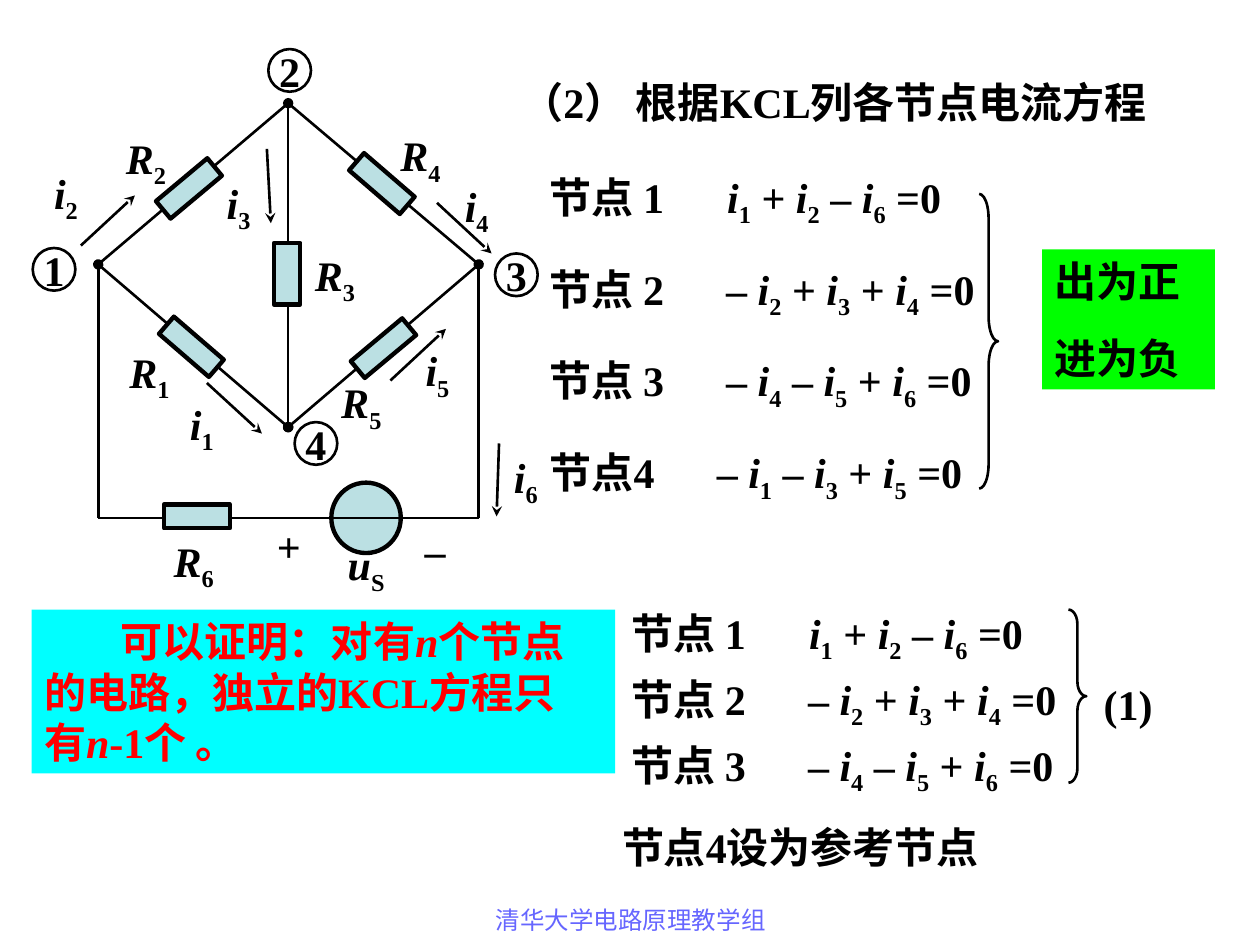
from itertools import groupby

from lxml import etree
from pptx import Presentation
from pptx.dml.color import RGBColor
from pptx.enum.shapes import MSO_CONNECTOR, MSO_SHAPE
from pptx.enum.text import MSO_ANCHOR, PP_ALIGN
from pptx.oxml.ns import qn
from pptx.util import Cm, Pt

STRAIGHT = MSO_CONNECTOR.STRAIGHT
RECTANGLE, OVAL, BRACE = MSO_SHAPE.RECTANGLE, MSO_SHAPE.OVAL, MSO_SHAPE.RIGHT_BRACE
LEFT, CENTER = PP_ALIGN.LEFT, PP_ALIGN.CENTER
TOP, MIDDLE = MSO_ANCHOR.TOP, MSO_ANCHOR.MIDDLE

COLORS = {"ink": "000000", "part": "BBE0E3", "rule": "00FF00",
          "proof": "00FFFF", "alert": "FF0000", "footer": "6666FF"}
VARIABLES = "iRun"  # letters set in italics; "_" lowers the next letter

# Text: lengths in cm
TITLE = "（2） 根据KCL列各节点电流方程"
EQUATIONS = [
    ("节点 1", "i_1 + i_2 – i_6 =0", 3.58),
    ("节点 2", "– i_2 + i_3 + i_4 =0", 3.56),
    ("节点 3", "– i_4 – i_5 + i_6 =0", 3.56),
    ("节点4", "– i_1 – i_3 + i_5 =0", 3.37),
]
# left, top, row step, number of equations
EQUATION_BLOCKS = [(10.83, 3.33, 1.85, 4), (12.48, 12.12, 1.33, 3)]
BRACES = [(19.74, 3.91, 0.38, 5.94), (21.54, 12.29, 0.36, 3.49)]
SIGN_RULE = ["出为正", "进为负"]
PROOF = ["可以证明：对有n个节点", "的电路，独立的KCL方程只", "有n-1个 。"]

# Circuit: lengths in cm
NODES = {"1": (1.98, 5.33), "2": (5.81, 2.08), "3": (9.65, 5.33), "4": (5.81, 8.61)}
BUS_Y = 10.44
BRANCHES = ["24", "23", "14", "34", "21"]
DOTTED = {"24", "14", "34"}
NODE_CIRCLES = {"1": (0.66, 5.0), "2": (5.41, 0.99), "3": (9.98, 5.11), "4": (5.94, 8.51)}
CIRCLE_SIZE = 0.86
# centre x, centre y, width, length, rotation
RESISTORS = [
    (5.79, 5.52, 0.53, 1.24, 0),
    (3.81, 3.8, 0.46, 1.35, 50.1),
    (7.7, 3.7, 0.46, 1.35, 310.8),
    (7.73, 7.02, 0.44, 1.35, 50.1),
    (3.86, 6.99, 0.46, 1.33, 310.8),
    (3.97, 10.41, 0.48, 1.33, 90),
]
LABELS = [
    ("R_1", 2.36, 6.86), ("R_2", 2.29, 2.54), ("R_3", 6.1, 4.9),
    ("R_4", 7.82, 2.49), ("R_5", 6.63, 7.47), ("R_6", 3.25, 10.67),
    ("i_1", 3.58, 7.9), ("i_2", 0.84, 3.25), ("i_3", 4.32, 3.45),
    ("i_4", 9.12, 3.51), ("i_5", 8.33, 6.83), ("i_6", 10.11, 8.97),
    ("u_S", 6.76, 10.74), ("+", 5.33, 10.36), ("–", 8.31, 10.44),
]
CURRENT_ARROWS = [
    ((1.63, 4.95), (2.72, 3.94)), ((7.87, 7.67), (8.99, 6.63)),
    ((4.17, 7.72), (5.28, 8.74)), ((8.81, 4.09), (9.91, 5.11)),
    ((5.38, 3.0), (5.46, 4.5)), ((10.06, 8.94), (10.01, 10.41)),
]

deck = Presentation()
deck.slide_width, deck.slide_height = Cm(25.4), Cm(19.05)
page = deck.slides.add_slide(deck.slide_layouts[6])


def color(name):
    return RGBColor.from_string(COLORS[name])


def styled_letters(text):
    """Pair each letter with its style: plain, italic or subscript."""
    lowered = False
    for letter in text:
        if letter == "_":
            lowered = True
            continue
        style = "subscript" if lowered else "italic" if letter in VARIABLES else "plain"
        yield style, letter
        lowered = False


def write(box, lines, ink="ink", size=24, bold=True, align=LEFT, anchor=TOP, gap=0, tab=None):
    frame = box.text_frame
    frame.word_wrap, frame.vertical_anchor = True, anchor
    for number, line in enumerate(lines):
        para = frame.paragraphs[0] if number == 0 else frame.add_paragraph()
        para.alignment = align
        para.space_before = Pt(gap if number else 0)
        if tab:
            tabs = etree.SubElement(para._p.get_or_add_pPr(), qn("a:tabLst"))
            etree.SubElement(tabs, qn("a:tab"), pos=str(Cm(tab)), algn="l")
        for style, letters in groupby(styled_letters(line), key=lambda pair: pair[0]):
            span = para.add_run()
            span.text = "".join(letter for _, letter in letters)
            formats = {"name": "Times New Roman", "size": Pt(size),
                       "bold": bold, "italic": style == "italic"}
            for name, value in formats.items():
                setattr(span.font, name, value)
            span.font.color.rgb = color(ink)
            if style == "subscript":
                span._r.get_or_add_rPr().set("baseline", "-25000")


def add_text(place, lines, **formats):
    box = page.shapes.add_textbox(*map(Cm, place))
    write(box, lines, **formats)


def add_shape(kind, place, fill=None, line=None):
    shape = page.shapes.add_shape(kind, *map(Cm, place))
    shape.shadow.inherit = False
    if fill:
        shape.fill.solid()
        shape.fill.fore_color.rgb = color(fill)
    else:
        shape.fill.background()
    if line:
        shape.line.color.rgb = color("ink")
        shape.line.width = Pt(line)
    else:
        shape.line.fill.background()
    return shape


def add_line(start, end, head=None, tail=None):
    wire = page.shapes.add_connector(STRAIGHT, *map(Cm, start + end))
    wire.line.color.rgb = color("ink")
    wire.line.width = Pt(1.5)
    outline = wire.line._get_or_add_ln()
    for tag, kind in (("a:headEnd", head), ("a:tailEnd", tail)):
        if kind:
            etree.SubElement(outline, qn(tag), type=kind)
    etree.SubElement(wire._element.spPr, qn("a:effectLst"))


# Title and equations with their braces
add_text((10.26, 1.42, 13.92, 2.29), [TITLE])
for left, top, step, count in EQUATION_BLOCKS:
    for row, (node, equation, tab) in enumerate(EQUATIONS[:count]):
        add_text((left, top + row * step, 9.5, 1.42), [f"{node}\t{equation}"], tab=tab)
for left, top, width, height in BRACES:
    brace = add_shape(BRACE, (left, top, width, height), line=1.5)
    brace.adjustments[0] = height / width / 12
add_text((22, 13.56, 1.7, 1.27), ["(1)"])
add_text((12.29, 16.43, 8.92, 1.27), ["节点4设为参考节点"])

# Coloured notes
write(add_shape(RECTANGLE, (21.01, 5.03, 3.48, 2.82), "rule"), SIGN_RULE, gap=15)
proof_box = add_shape(RECTANGLE, (0.64, 12.29, 11.76, 3.3), "proof")
write(proof_box, PROOF, ink="alert")
proof_box.text_frame.paragraphs[0]._p.get_or_add_pPr().set("indent", str(Cm(1.55)))

# Voltage source and wires
add_shape(OVAL, (6.68, 9.73, 1.4, 1.42), "part", 2.5)
for branch in BRANCHES:
    dot = "oval" if branch in DOTTED else None
    add_line(NODES[branch[0]], NODES[branch[1]], dot, dot)
corners = [(NODES[node][0], BUS_Y) for node in "13"]
for node, corner in zip("13", corners):
    add_line(NODES[node], corner)
add_line(*corners)

# Resistors, currents and labels
for x, y, width, length, rotation in RESISTORS:
    place = (x - width / 2, y - length / 2, width, length)
    add_shape(RECTANGLE, place, "part", 2.5).rotation = rotation
for start, end in CURRENT_ARROWS:
    add_line(start, end, tail="stealth")
for label, left, top in LABELS:
    add_text((left, top, 1.47, 1.42), [label])

# Numbered nodes
for number, corner in NODE_CIRCLES.items():
    circle = add_shape(OVAL, corner + (CIRCLE_SIZE, CIRCLE_SIZE), line=1.5)
    for side in ("left", "top", "right", "bottom"):
        setattr(circle.text_frame, f"margin_{side}", 0)
    write(circle, [number], align=CENTER, anchor=MIDDLE)

# Footer
add_text((8.69, 18.11, 8.05, 0.9), ["清华大学电路原理教学组"],
         ink="footer", size=14, bold=False, align=CENTER)

deck.save("out.pptx")
